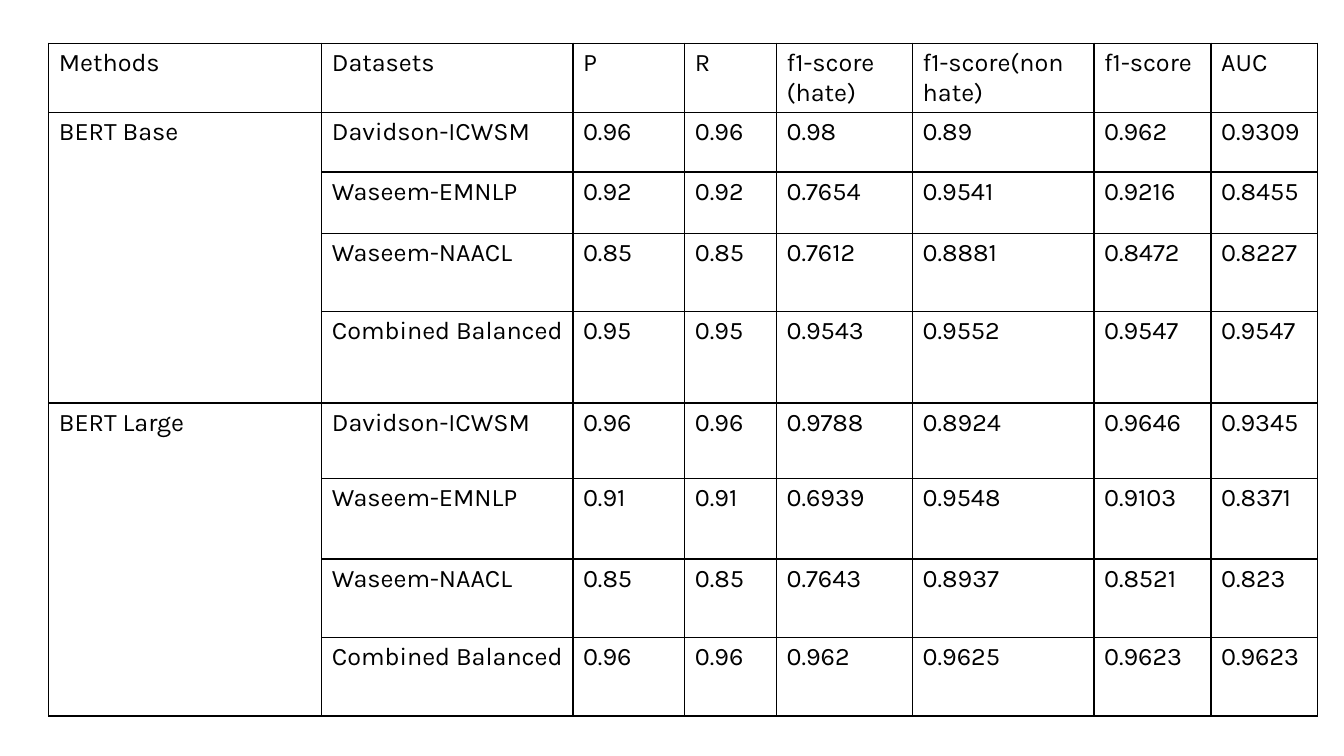
"""Build a slide with a table of BERT scores per hate speech dataset."""
import lxml.etree
import pptx
import pptx.dml.color
import pptx.oxml.ns
import pptx.util

Cm = pptx.util.Cm
Pt = pptx.util.Pt

INK = "000000"
FONT = "Karla"
HEADER = ["Methods", "Datasets", "P", "R", "f1-score (hate)", "f1-score(non hate)", "f1-score", "AUC"]
METHODS = {
    "BERT Base": [
        ("Davidson-ICWSM", "0.96", "0.96", "0.98", "0.89", "0.962", "0.9309"),
        ("Waseem-EMNLP", "0.92", "0.92", "0.7654", "0.9541", "0.9216", "0.8455"),
        ("Waseem-NAACL", "0.85", "0.85", "0.7612", "0.8881", "0.8472", "0.8227"),
        ("Combined Balanced", "0.95", "0.95", "0.9543", "0.9552", "0.9547", "0.9547"),
    ],
    "BERT Large": [
        ("Davidson-ICWSM", "0.96", "0.96", "0.9788", "0.8924", "0.9646", "0.9345"),
        ("Waseem-EMNLP", "0.91", "0.91", "0.6939", "0.9548", "0.9103", "0.8371"),
        ("Waseem-NAACL", "0.85", "0.85", "0.7643", "0.8937", "0.8521", "0.823"),
        ("Combined Balanced", "0.96", "0.96", "0.962", "0.9625", "0.9623", "0.9623"),
    ],
}
WIDTHS = [6.88, 6.33, 2.82, 2.31, 3.43, 4.57, 2.95, 2.69]
HEIGHTS = [1.32, 1.5, 1.55, 1.96, 2.31, 1.9, 2.03, 1.98, 1.98]
LEFT, TOP = 1.23, 1.09


def color(value):
    return pptx.dml.color.RGBColor.from_string(value)


def add_borders(cell):
    properties = cell._tc.get_or_add_tcPr()
    name = pptx.oxml.ns.qn
    for position, side in enumerate(["lnL", "lnR", "lnT", "lnB"]):
        line = lxml.etree.Element(name("a:" + side), w=str(Pt(1)))
        fill = lxml.etree.SubElement(line, name("a:solidFill"))
        lxml.etree.SubElement(fill, name("a:srgbClr"), val=INK)
        properties.insert(position, line)


def write(cell, text):
    span = cell.text_frame.paragraphs[0].add_run()
    span.text = text
    span.font.name = FONT
    span.font.size = Pt(18)
    span.font.color.rgb = color(INK)


def main():
    deck = pptx.Presentation()
    deck.slide_width, deck.slide_height = Cm(33.87), Cm(19.05)
    page = deck.slides.add_slide(deck.slide_layouts[6])
    frame = page.shapes.add_table(
        len(HEIGHTS), len(WIDTHS), Cm(LEFT), Cm(TOP), Cm(sum(WIDTHS)), Cm(sum(HEIGHTS)))
    table = frame.table
    table.first_row = table.horz_banding = False
    for column, width in zip(table.columns, WIDTHS):
        column.width = Cm(width)
    for row, height in zip(table.rows, HEIGHTS):
        row.height = Cm(height)
    for cell in table.iter_cells():
        cell.fill.background()
        add_borders(cell)

    for column, title in enumerate(HEADER):
        write(table.cell(0, column), title)
    first = 1
    for method, results in METHODS.items():
        last = first + len(results) - 1
        table.cell(first, 0).merge(table.cell(last, 0))
        write(table.cell(first, 0), method)
        for row, values in enumerate(results, first):
            for column, value in enumerate(values, 1):
                write(table.cell(row, column), value)
        first = last + 1
    deck.save("out.pptx")


if __name__ == "__main__":
    main()
